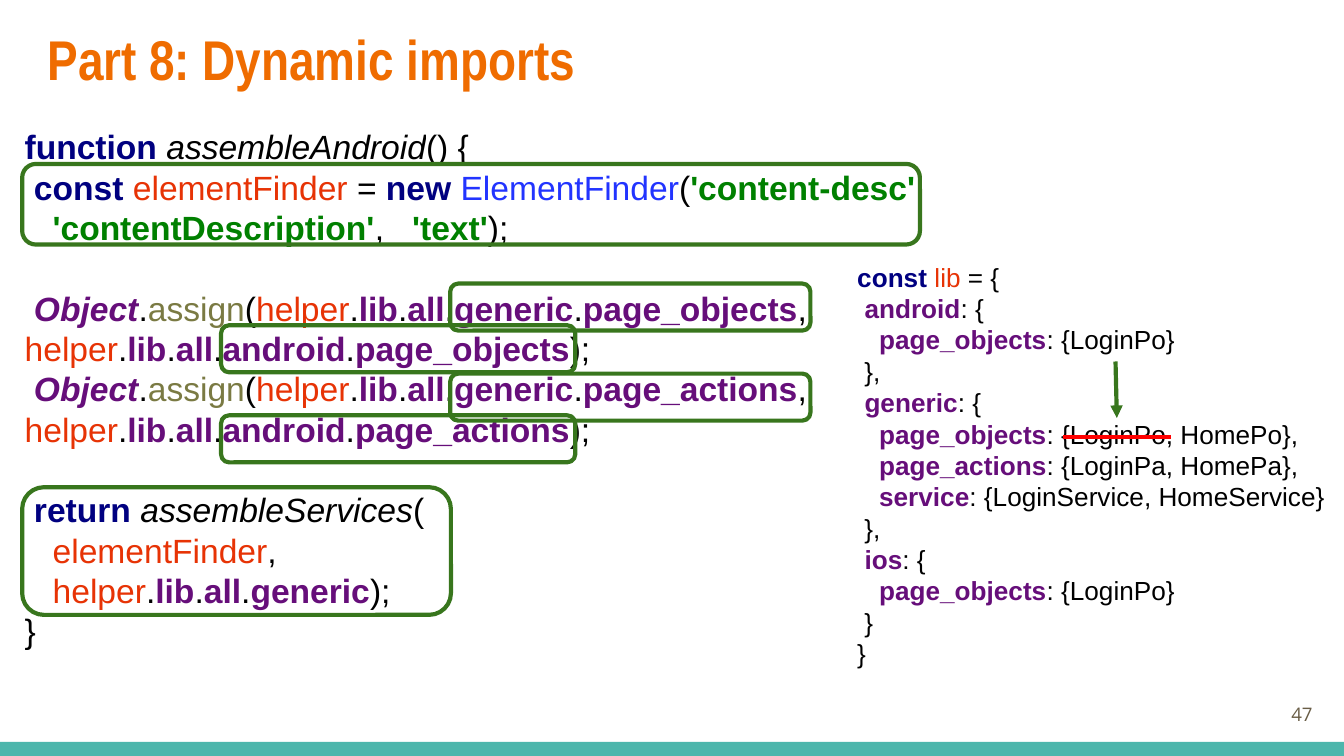
from dataclasses import dataclass

from lxml import etree
from pptx import Presentation
from pptx.dml.color import RGBColor
from pptx.enum.shapes import MSO_CONNECTOR, MSO_SHAPE
from pptx.enum.text import MSO_ANCHOR, PP_ALIGN
from pptx.oxml.ns import qn
from pptx.util import Emu, Pt

RECTANGLE, ROUNDED = MSO_SHAPE.RECTANGLE, MSO_SHAPE.ROUNDED_RECTANGLE
STRAIGHT = MSO_CONNECTOR.STRAIGHT
TOP, MIDDLE = MSO_ANCHOR.TOP, MSO_ANCHOR.MIDDLE
LEFT, RIGHT = PP_ALIGN.LEFT, PP_ALIGN.RIGHT
EMU_PER_PX = 4572


@dataclass(frozen=True)
class Style:
    """Colour and emphasis of a piece of text."""
    color: str
    bold: bool = False
    italic: bool = False


@dataclass(frozen=True)
class Theme:
    """Colours, fonts and type sizes of the slide."""
    bar: str = "4DB6AC"
    frame: str = "38761D"
    strike: str = "FF0000"
    paper: str = "FFFFFF"
    title: Style = Style("EF6C00", bold=True)
    number: Style = Style("695D46")
    plain: Style = Style("000000")
    call: Style = Style("000000", italic=True)
    keyword: Style = Style("000080", bold=True)
    variable: Style = Style("E73305")
    class_name: Style = Style("2234FF")
    string: Style = Style("008000", bold=True)
    builtin: Style = Style("660E7A", bold=True, italic=True)
    method: Style = Style("7A7A43")
    member: Style = Style("660E7A", bold=True)
    title_font: str = "Arial Narrow"
    code_font: str = "Arial"
    number_font: str = "Open Sans"
    title_size: int = 30
    main_code_size: int = 18
    side_code_size: int = 14
    number_size: int = 10
    blank_line: float = 21.6
    stroke: float = 2.25


THEME = Theme()


def px(length):
    """Turn whole px into EMU."""
    return Emu(length * EMU_PER_PX)


def rgb(color):
    """Turn a hex string into a colour."""
    return RGBColor.from_string(color)


def add_box(slide, bounds, anchor=TOP):
    """Add an empty wrapping text box and return its text frame."""
    frame = slide.shapes.add_textbox(*map(px, bounds)).text_frame
    frame.word_wrap = True
    frame.vertical_anchor = anchor
    frame.margin_left = frame.margin_right = px(20)
    frame.margin_top = frame.margin_bottom = px(20)
    return frame


def add_run(paragraph, text, style, font_name, size):
    """Add one styled run."""
    run = paragraph.add_run()
    run.text = text
    font = run.font
    font.name, font.size = font_name, Pt(size)
    font.bold, font.italic = style.bold, style.italic
    font.color.rgb = rgb(style.color)
    return run


def add_highlight(run, color):
    """Put a highlight colour behind a run."""
    highlight = etree.Element(qn("a:highlight"))
    etree.SubElement(highlight, qn("a:srgbClr"), val=color)
    run._r.get_or_add_rPr().find(qn("a:solidFill")).addnext(highlight)


def add_label(slide, bounds, text, style, font_name, size, anchor=TOP, align=LEFT):
    """Add a one-line text box."""
    paragraph = add_box(slide, bounds, anchor).paragraphs[0]
    paragraph.alignment = align
    add_run(paragraph, text, style, font_name, size)


def add_code(slide, bounds, blocks, size):
    """Add code whose blocks are set apart by one line."""
    frame = add_box(slide, bounds, MIDDLE)
    paragraph = None
    for block in blocks:
        for index, line in enumerate(block):
            starts_later_block = index == 0 and paragraph is not None
            paragraph = frame.add_paragraph() if paragraph is not None else frame.paragraphs[0]
            if starts_later_block:
                paragraph.space_before = Pt(THEME.blank_line)
            for text, style in line:
                add_highlight(add_run(paragraph, text, style, THEME.code_font, size), THEME.paper)


def add_bar(slide, bounds):
    """Add the plain footer bar."""
    bar = slide.shapes.add_shape(RECTANGLE, *map(px, bounds))
    bar.shadow.inherit = False
    bar.fill.solid()
    bar.fill.fore_color.rgb = rgb(THEME.bar)
    bar.line.fill.background()


def add_frame(slide, bounds):
    """Add a hollow rounded frame around code."""
    frame = slide.shapes.add_shape(ROUNDED, *map(px, bounds))
    frame.shadow.inherit = False
    frame.adjustments[0] = 0.17
    frame.fill.background()
    frame.line.color.rgb = rgb(THEME.frame)
    frame.line.width = Pt(THEME.stroke)


def add_line(slide, points, color, arrow=False):
    """Add a straight line, with an arrowhead at its end if asked."""
    line = slide.shapes.add_connector(STRAIGHT, *map(px, points))
    line.line.color.rgb = rgb(color)
    line.line.width = Pt(THEME.stroke)
    if arrow:
        etree.SubElement(line.line._get_or_add_ln(), qn("a:tailEnd"), type="triangle")
    etree.SubElement(line._element.spPr, qn("a:effectLst"))


def helper_path(*members):
    """Return the runs of a dotted path that starts at helper."""
    runs = [("helper", THEME.variable)]
    for member in members:
        runs += [(".", THEME.plain), (member, THEME.member)]
    return runs


def assign_line(group):
    """Return the statement that merges one group of page classes."""
    t = THEME
    return [(" ", t.plain), ("Object", t.builtin), (".", t.plain), ("assign", t.method), ("(", t.plain),
            *helper_path("lib", "all", "generic", group), (", ", t.plain),
            *helper_path("lib", "all", "android", group), (");", t.plain)]


def entry(indent, name, value):
    """Return one key and value of the lib object."""
    return [(" " * indent, THEME.plain), (name, THEME.member), (": " + value, THEME.plain)]


def main_code():
    """Return the blocks of the assembleAndroid function."""
    t = THEME
    return [
        [[("function ", t.keyword), ("assembleAndroid", t.call), ("() {", t.plain)],
         [(" ", t.plain), ("const ", t.keyword), ("elementFinder ", t.variable), ("= ", t.plain),
          ("new ", t.keyword), ("ElementFinder", t.class_name), ("(", t.plain),
          ("'content-desc'", t.string), (",", t.plain)],
         [("   ", t.plain), ("'contentDescription'", t.string), (",   ", t.plain),
          ("'text'", t.string), (");", t.plain)]],
        [assign_line("page_objects"), assign_line("page_actions")],
        [[(" ", t.plain), ("return ", t.keyword), ("assembleServices", t.call), ("(", t.plain)],
         [("   ", t.plain), ("elementFinder", t.variable), (",", t.plain)],
         [("   ", t.plain), *helper_path("lib", "all", "generic"), (");", t.plain)],
         [("}", t.plain)]],
    ]


def lib_code():
    """Return the single block of the lib object."""
    t = THEME
    login = entry(3, "page_objects", "{LoginPo}")
    close = [(" },", t.plain)]
    return [[
        [("const ", t.keyword), ("lib ", t.variable), ("= {", t.plain)],
        entry(1, "android", "{"), login, close,
        entry(1, "generic", "{"),
        entry(3, "page_objects", "{LoginPo, HomePo},"),
        entry(3, "page_actions", "{LoginPa, HomePa},"),
        entry(3, "service", "{LoginService, HomeService}"),
        close,
        entry(1, "ios", "{"), login, [(" }", t.plain)], [("}", t.plain)],
    ]]


def main():
    """Build and save the slide."""
    deck = Presentation()
    deck.slide_width, deck.slide_height = px(2000), px(1125)
    slide = deck.slides.add_slide(deck.slide_layouts[6])
    t = THEME
    add_bar(slide, (0, 1104, 2000, 21))
    add_label(slide, (51, 16, 1864, 114), "Part 8: Dynamic imports", t.title, t.title_font, t.title_size)
    add_label(slide, (1853, 1020, 120, 86), "47", t.number, t.number_font, t.number_size, MIDDLE, RIGHT)
    add_code(slide, (17, 174, 1398, 808), main_code(), t.main_code_size)
    add_code(slide, (1256, 364, 776, 656), lib_code(), t.side_code_size)
    add_line(slide, (1660, 538, 1662, 622), t.frame, arrow=True)
    add_frame(slide, (33, 244, 1336, 120))
    add_frame(slide, (33, 725, 638, 190))
    for generic_top in (422, 556):
        add_frame(slide, (670, generic_top, 536, 70))
        add_frame(slide, (329, generic_top + 62, 527, 70))
    add_line(slide, (1582, 650, 1742, 650), t.strike)
    deck.save("out.pptx")


if __name__ == "__main__":
    main()
